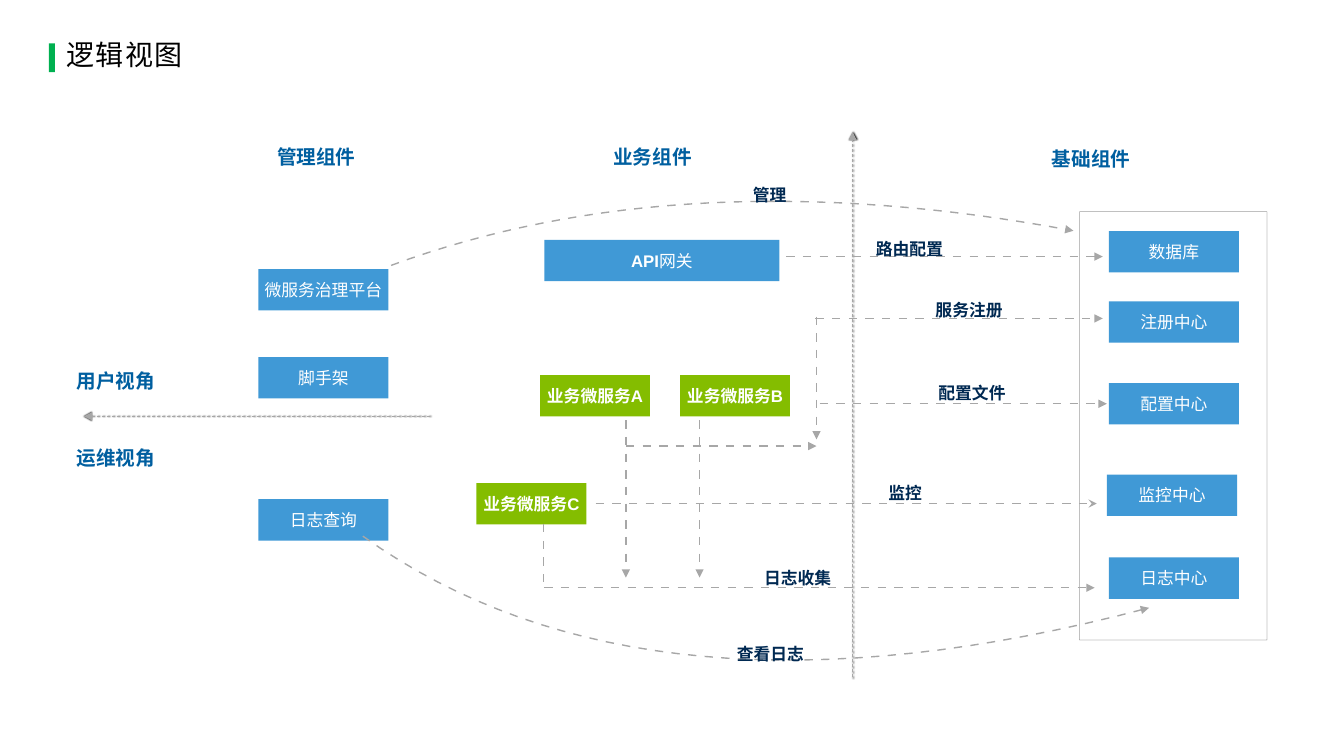
from dataclasses import dataclass
from itertools import groupby

from lxml import etree
from pptx import Presentation
from pptx.dml.color import RGBColor
from pptx.enum.dml import MSO_LINE
from pptx.enum.shapes import MSO_CONNECTOR, MSO_SHAPE
from pptx.enum.text import MSO_ANCHOR, MSO_AUTO_SIZE, PP_ALIGN
from pptx.oxml.ns import qn
from pptx.util import Pt

RECTANGLE = MSO_SHAPE.RECTANGLE
STRAIGHT = MSO_CONNECTOR.STRAIGHT
AXIS_DASH = MSO_LINE.DASH
MIDDLE, TOP = MSO_ANCHOR.MIDDLE, MSO_ANCHOR.TOP
CENTER, LEFT = PP_ALIGN.CENTER, PP_ALIGN.LEFT
GROW, FIXED = MSO_AUTO_SIZE.SHAPE_TO_FIT_TEXT, MSO_AUTO_SIZE.NONE


@dataclass(frozen=True)
class Theme:
    accent: str = "00B050"
    blue: str = "4099D6"
    green: str = "84BD00"
    heading: str = "005FA0"
    label: str = "002952"
    line: str = "A7A7A7"
    black: str = "000000"
    white: str = "FFFFFF"
    cjk: str = "Noto Sans CJK SC"
    latin: str = "Arial"
    title_size: int = 20
    heading_size: int = 14
    body_size: int = 12


THEME = Theme()
CARD_HEIGHT = 29.5
BLUE_WIDTH, GREEN_WIDTH, GATEWAY_WIDTH = 93, 78.5, 168
LABEL_SLACK = 1
CURVE_STEPS = 32

TITLE = "逻辑视图"
GATEWAY = ("API网关", 388.8, 171.4)
BLUE_CARDS = [
    ("微服务治理平台", 184.5, 192.2),
    ("脚手架", 184.5, 255),
    ("日志查询", 184.5, 356.6),
    ("数据库", 792, 165.1),
    ("注册中心", 792, 215.3),
    ("配置中心", 792, 273.6),
    ("监控中心", 790.7, 339),
    ("日志中心", 792, 398.2),
]
GREEN_CARDS = [
    ("业务微服务A", 385.8, 268),
    ("业务微服务B", 485.8, 268),
    ("业务微服务C", 340.3, 345),
]
HEADINGS = [
    ("管理组件", 197.9, 103.7),
    ("业务组件", 438, 103.7),
    ("基础组件", 751.4, 105.1),
    ("用户视角", 54.7, 263.5),
    ("运维视角", 54.7, 318.5),
]
LABELS = [
    ("管理", 537.8, 131.8),
    ("路由配置", 625.7, 170.6),
    ("服务注册", 668.2, 213.8),
    ("配置文件", 670.3, 273.6),
    ("监控", 634.5, 344.9),
    ("日志收集", 545.8, 405.4),
    ("查看日志", 526.3, 460.1),
]
AXES = [(609.1, 483.8, 609.1, 94.3), (307.4, 297.4, 59.8, 297.4)]
FLOWS = [
    (583.2, 226.1, 583.2, 313.9, "triangle"),
    (447.1, 318.6, 583.2, 318.6, "triangle"),
    (499.7, 300.2, 499.7, 412.6, "triangle"),
    (447.1, 300.2, 447.1, 412.6, "triangle"),
    (585.4, 288.4, 790.6, 288.4, "triangle"),
    (388.8, 419.8, 781.9, 419.8, "triangle"),
    (388.1, 374.4, 388.1, 421.2, None),
    (425.5, 359.7, 783.4, 359.7, "stealth"),
    (582.5, 227.5, 787.7, 227.5, "triangle"),
    (561.6, 183.3, 787.7, 183.3, "triangle"),
]
CURVES = [
    [(279.4, 189.6), (419, 138.2), (581.8, 130.3), (766.8, 164.9)],
    [(259.2, 383), (395.3, 480.2), (582.5, 497.5), (820.8, 434.2)],
]


def paint(color):
    return RGBColor.from_string(color)


def child(parent, tag, **attributes):
    return etree.SubElement(parent, qn(tag), attributes)


def write(box, text, size=THEME.body_size, color=THEME.white, bold=False, latin_bold=True,
          align=LEFT, anchor=TOP, margin=0, wrap=False, fit=FIXED, spacing=None, tracking=None):
    frame = box.text_frame
    frame.word_wrap, frame.auto_size, frame.vertical_anchor = wrap, fit, anchor
    frame.margin_left = frame.margin_right = frame.margin_top = frame.margin_bottom = Pt(margin)
    para = frame.paragraphs[0]
    para.alignment, para.line_spacing = align, spacing
    for is_latin, letters in groupby(text, str.isascii):
        span = para.add_run()
        span.text = "".join(letters)
        font = span.font
        font.size, font.bold = Pt(size), latin_bold if is_latin else bold
        font.color.rgb = paint(color)
        font.name = THEME.latin if is_latin else THEME.cjk
        properties = span._r.get_or_add_rPr()
        child(properties, "a:ea", typeface=THEME.cjk)
        if tracking:
            properties.set("spc", str(tracking))


def add_block(page, left, top, width, height, color):
    block = page.shapes.add_shape(RECTANGLE, Pt(left), Pt(top), Pt(width), Pt(height))
    block.shadow.inherit = False
    block.fill.solid()
    block.fill.fore_color.rgb = paint(color)
    block.line.fill.background()
    return block


def add_card(page, text, left, top, width, color, **style):
    card = add_block(page, left, top, width, CARD_HEIGHT, color)
    write(card, text, align=CENTER, anchor=MIDDLE, wrap=True, **style)


def add_label(page, text, left, top, size, color):
    width = size * len(text) + LABEL_SLACK
    box = page.shapes.add_textbox(Pt(left), Pt(top), Pt(width), Pt(size))
    write(box, text, size=size, color=color, bold=True, fit=GROW)


def style_line(shape, width, head, preset=None):
    shape.line.width = Pt(width)
    shape.line.color.rgb = paint(THEME.line)
    outline = shape.line._get_or_add_ln()
    if preset:
        shape.line.dash_style = preset
    else:
        child(child(outline, "a:custDash"), "a:ds", d="600000", sp="600000")
    if head:
        child(outline, "a:tailEnd", type=head)


def add_line(page, ends, width, head, preset=None):
    line = page.shapes.add_connector(STRAIGHT, *[Pt(value) for value in ends])
    style_line(line, width, head, preset)
    return child(line._element.spPr, "a:effectLst")


def add_curve(page, controls):
    points = []
    for step in range(CURVE_STEPS + 1):
        t = step / CURVE_STEPS
        weights = ((1 - t) ** 3, 3 * t * (1 - t) ** 2, 3 * t * t * (1 - t), t ** 3)
        points.append(tuple(Pt(sum(w * p[axis] for w, p in zip(weights, controls)))
                            for axis in (0, 1)))
    builder = page.shapes.build_freeform(*points[0])
    builder.add_line_segments(points[1:], close=False)
    curve = builder.convert_to_shape()
    curve.shadow.inherit = False
    curve.fill.background()
    style_line(curve, 1, "triangle")


def main():
    deck = Presentation()
    deck.slide_width, deck.slide_height = Pt(960), Pt(540)
    page = deck.slides.add_slide(deck.slide_layouts[6])

    add_block(page, 34.9, 31, 4.3, 20.5, THEME.accent)
    title = page.shapes.add_textbox(Pt(43.9), Pt(16.5), Pt(538.6), Pt(47.5))
    write(title, TITLE, size=THEME.title_size, color=THEME.black, anchor=MIDDLE,
          margin=3.6, wrap=True, spacing=0.9, tracking=100)

    panel = add_block(page, 771.1, 151.2, 133.9, 306, THEME.white)
    panel.line.width = Pt(0.25)
    panel.line.color.rgb = paint(THEME.black)
    for color in panel._element.spPr.iter(qn("a:srgbClr")):
        child(color, "a:alpha", val="70000")

    add_card(page, *GATEWAY, GATEWAY_WIDTH, THEME.blue)
    for card in BLUE_CARDS:
        add_card(page, *card, BLUE_WIDTH, THEME.blue)
    for card in GREEN_CARDS:
        add_card(page, *card, GREEN_WIDTH, THEME.green, bold=True)

    for ends in AXES:
        effects = add_line(page, ends, 0.5, "triangle", AXIS_DASH)
        shadow = child(effects, "a:outerShdw", blurRad="12700", dist="0", dir="5400000")
        child(shadow, "a:srgbClr", val=THEME.black)
    for *ends, head in FLOWS:
        add_line(page, ends, 1, head)
    for controls in CURVES:
        add_curve(page, controls)

    for heading in HEADINGS:
        add_label(page, *heading, THEME.heading_size, THEME.heading)
    for label in LABELS:
        add_label(page, *label, THEME.body_size, THEME.label)
    deck.save("out.pptx")


if __name__ == "__main__":
    main()
